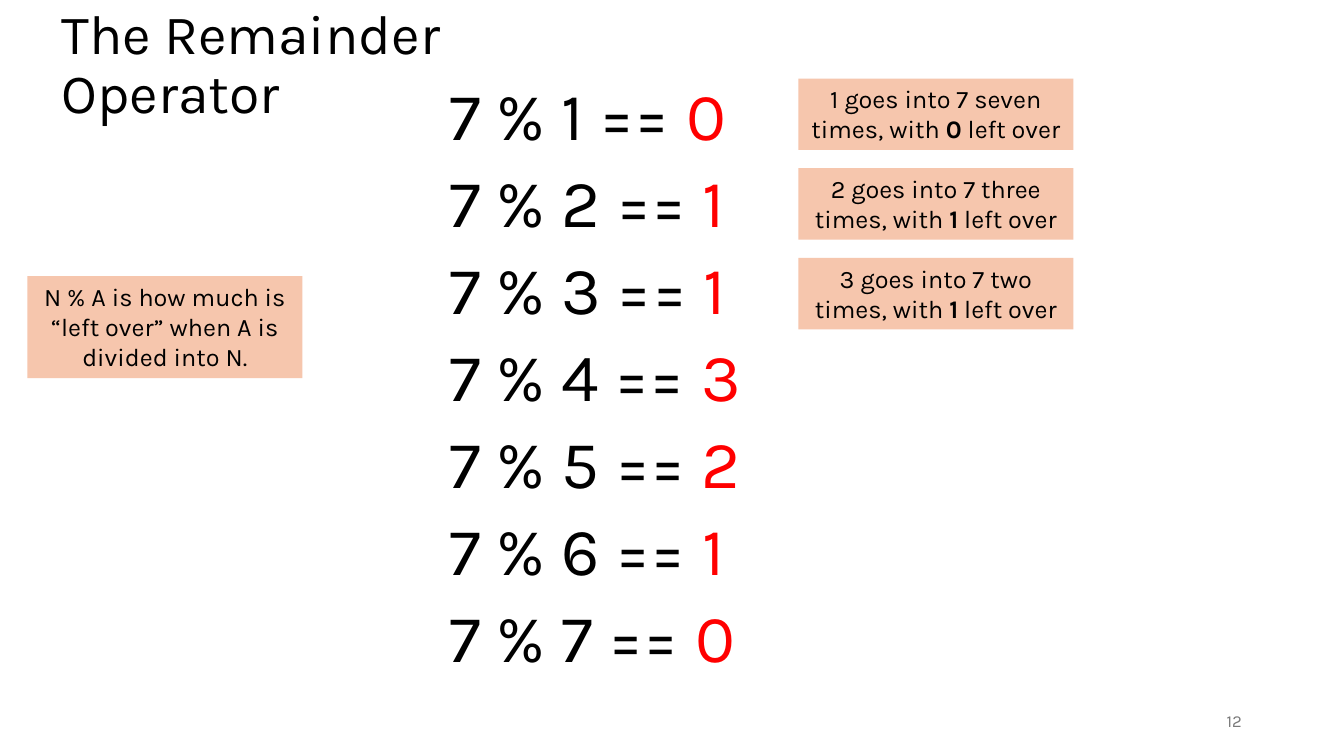
import pptx
import pptx.dml.color
import pptx.enum.shapes
import pptx.enum.text
import pptx.util

Cm = pptx.util.Cm
ALIGN = pptx.enum.text.PP_ALIGN
ANCHOR = pptx.enum.text.MSO_ANCHOR
FIT_SHAPE = pptx.enum.text.MSO_AUTO_SIZE.SHAPE_TO_FIT_TEXT

BLACK = pptx.dml.color.RGBColor(0x00, 0x00, 0x00)
RED = pptx.dml.color.RGBColor(0xFF, 0x00, 0x00)
GREY = pptx.dml.color.RGBColor(0x79, 0x79, 0x79)
PEACH = pptx.dml.color.RGBColor(0xF6, 0xC6, 0xAD)

FONT_NAME = "Karla"
DIVIDEND = 7
TIMES_WORDS = {1: "seven", 2: "three", 3: "two"}


def add_span(para, text, size, color=BLACK, bold=False):
    """Append a formatted run to a paragraph."""
    span = para.add_run()
    span.text = text
    span.font.name = FONT_NAME
    span.font.size = pptx.util.Pt(size)
    span.font.color.rgb = color
    span.font.bold = bold


def add_title(page, left, top, width, height):
    """Place the slide title, raised within its box."""
    frame = page.shapes.add_textbox(left, top, width, height).text_frame
    frame.word_wrap = True
    frame.vertical_anchor = ANCHOR.MIDDLE
    frame.margin_bottom = Cm(1.6)
    para = frame.paragraphs[0]
    para.line_spacing = 0.9
    add_span(para, "The Remainder Operator", 39.6)


def add_page_number(page, number, left, top, width, height):
    """Place the page number at the right of its box."""
    frame = page.shapes.add_textbox(left, top, width, height).text_frame
    frame.word_wrap = True
    frame.vertical_anchor = ANCHOR.MIDDLE
    para = frame.paragraphs[0]
    para.alignment = ALIGN.RIGHT
    add_span(para, str(number), 12, GREY)


def add_note(page, parts, left, top, width, height):
    """Place a peach note whose (text, bold) parts form one sentence."""
    box = page.shapes.add_shape(
        pptx.enum.shapes.MSO_SHAPE.RECTANGLE, left, top, width, height)
    box.shadow.inherit = False
    box.fill.solid()
    box.fill.fore_color.rgb = PEACH
    box.line.fill.background()
    frame = box.text_frame
    frame.word_wrap = True
    frame.auto_size = FIT_SHAPE
    frame.vertical_anchor = ANCHOR.TOP
    para = frame.paragraphs[0]
    para.alignment = ALIGN.CENTER
    for text, bold in parts:
        add_span(para, text, 18, bold=bold)


def add_expressions(page, left, top, width, height, pitch):
    """Stack one remainder expression per divisor, with the result in red."""
    for divisor in range(1, DIVIDEND + 1):
        row_top = top + (divisor - 1) * pitch
        frame = page.shapes.add_textbox(left, row_top, width, height).text_frame
        frame.word_wrap = False
        frame.auto_size = FIT_SHAPE
        para = frame.paragraphs[0]
        add_span(para, f"{DIVIDEND} % {divisor} == ", 48)
        add_span(para, str(DIVIDEND % divisor), 48, RED)


def add_explanations(page, left, top, width, height, pitch):
    """Stack the notes that explain the first expressions."""
    for divisor, times in TIMES_WORDS.items():
        parts = [
            (f"{divisor} goes into {DIVIDEND} {times} times, with ", False),
            (str(DIVIDEND % divisor), True),
            (" left over", False),
        ]
        add_note(page, parts, left, top + (divisor - 1) * pitch, width, height)


def main():
    """Build and save the deck."""
    deck = pptx.Presentation()
    deck.slide_width, deck.slide_height = Cm(33.87), Cm(19.05)
    page = deck.slides.add_slide(deck.slide_layouts[6])
    add_title(page, Cm(1.3), Cm(0.56), Cm(10.74), Cm(3.68))
    add_page_number(page, 12, Cm(23.93), Cm(17.65), Cm(7.62), Cm(1.02))
    rule = [("N % A is how much is “left over” when A is divided into N.", False)]
    add_note(page, rule, Cm(0.69), Cm(6.96), Cm(6.93), Cm(2.57))
    add_expressions(page, Cm(11.07), Cm(1.73), Cm(8.23), Cm(2.31), Cm(2.19))
    add_explanations(page, Cm(20.12), Cm(1.98), Cm(6.93), Cm(1.8), Cm(2.26))
    deck.save("out.pptx")


if __name__ == "__main__":
    main()
